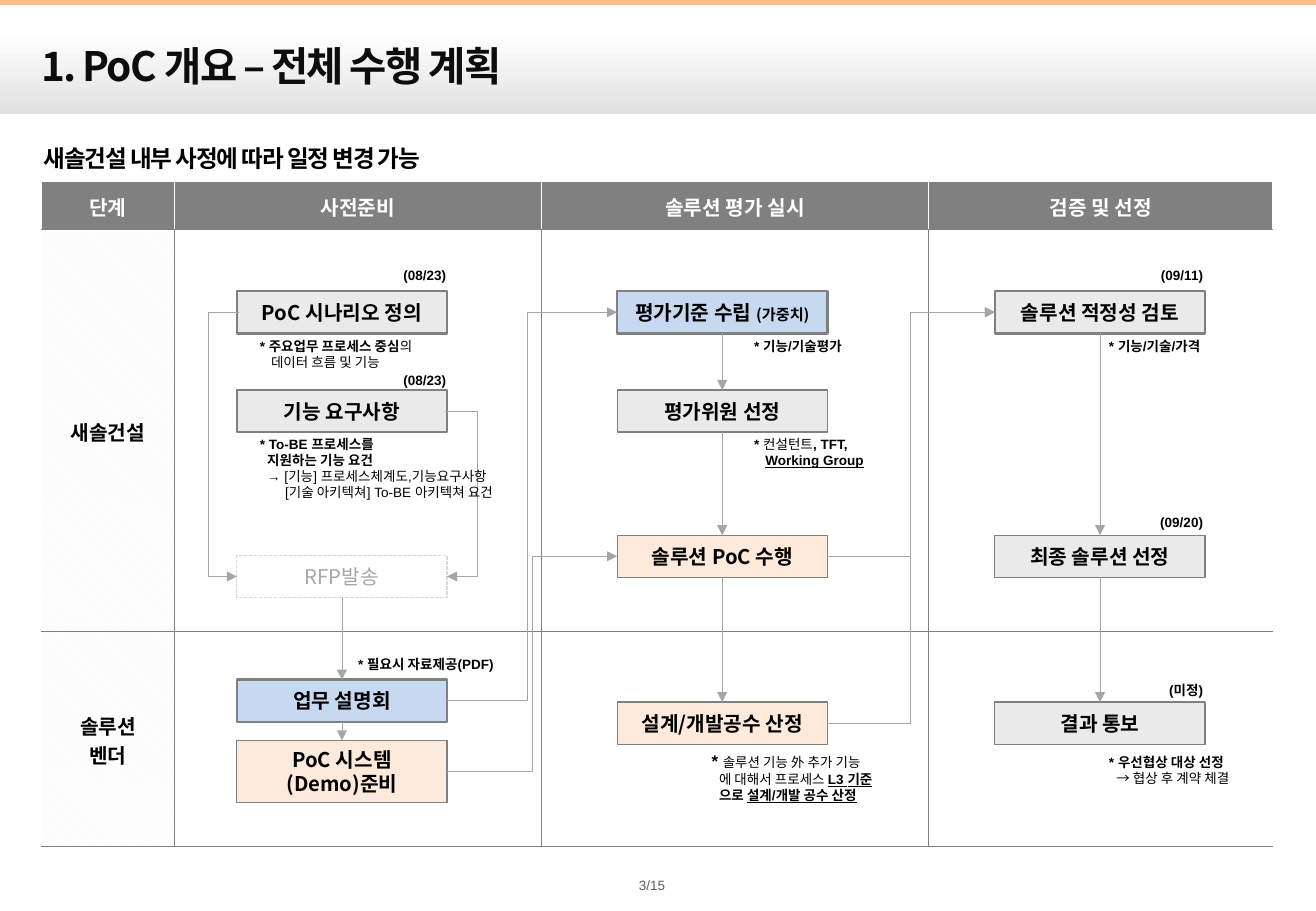
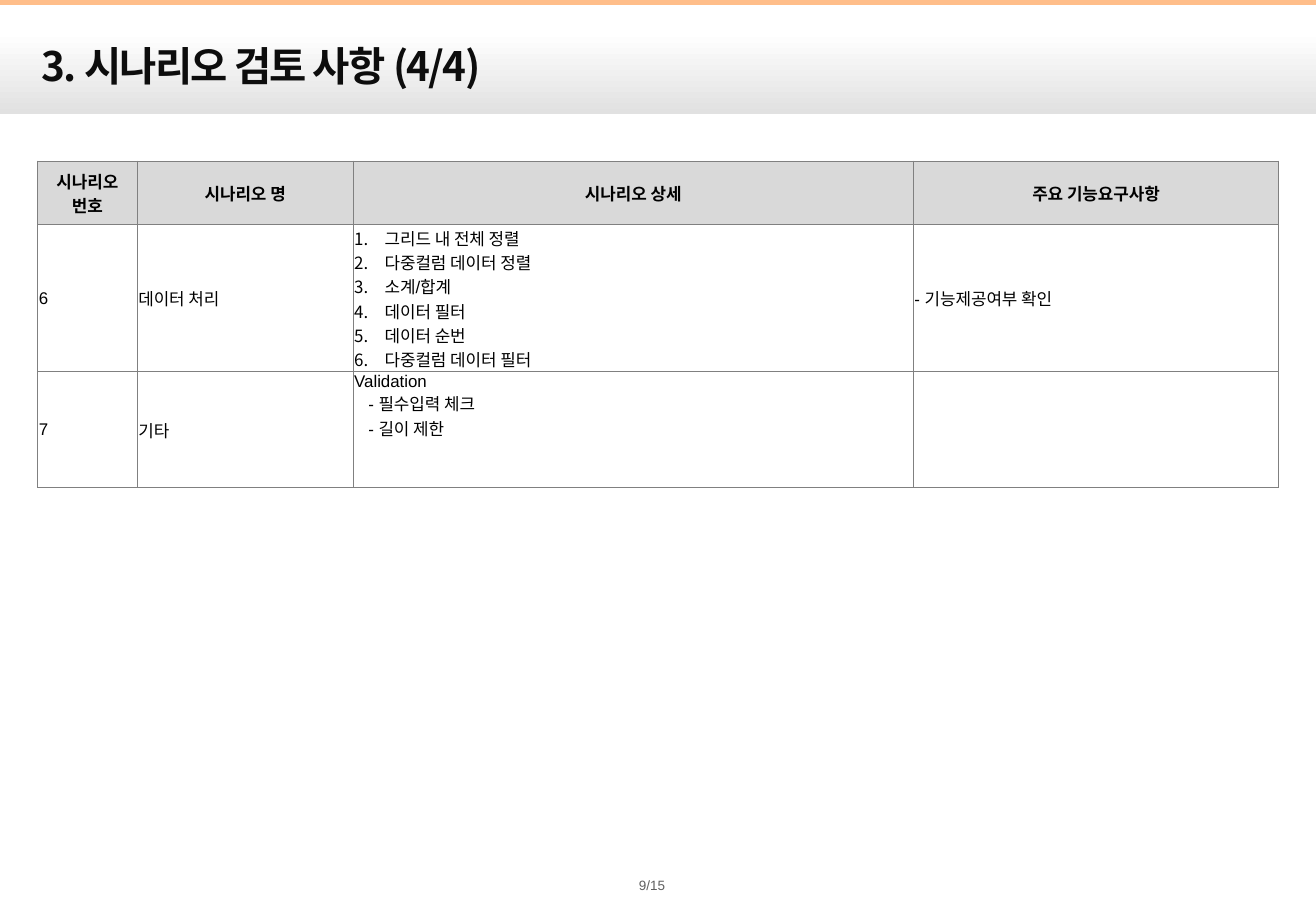
from lxml.etree import Element, SubElement
from pptx import Presentation
from pptx.dml.color import RGBColor
from pptx.enum.dml import MSO_LINE, MSO_PATTERN
from pptx.enum.shapes import MSO_CONNECTOR, MSO_SHAPE
from pptx.enum.text import MSO_ANCHOR, MSO_AUTO_SIZE, PP_ALIGN
from pptx.oxml.ns import qn
from pptx.util import Pt


class Theme:
    black = RGBColor(0x00, 0x00, 0x00)
    white = RGBColor(0xFF, 0xFF, 0xFF)
    title = RGBColor(0x0D, 0x0D, 0x0D)
    number = RGBColor(0x5F, 0x5F, 0x5F)
    accent = RGBColor(0xFF, 0xBE, 0x8A)
    band_end = RGBColor(0xE1, 0xE1, 0xE1)
    grey = RGBColor(0x80, 0x80, 0x80)
    arrow = RGBColor(0xA6, 0xA6, 0xA6)
    pale = RGBColor(0xD9, 0xD9, 0xD9)
    hatch = RGBColor(0xF2, 0xF2, 0xF2)
    box = RGBColor(0xEA, 0xEA, 0xEA)
    blue = RGBColor(0xC6, 0xD9, 0xF1)
    peach = RGBColor(0xFD, 0xEA, 0xDA)
    latin = "Arial"
    korean = "Noto Sans CJK KR"
    title_size, lead_size, box_size, cell_size, note_size = 24, 14, 12, 10, 8


def write(frame, lines, size, color=Theme.black, bold=True,
          font=Theme.latin, align=PP_ALIGN.LEFT, tracking=0):
    """A line is a string, or (indent, [(text, look, size?), ...]); look: b bold, u underline."""
    for index, line in enumerate(lines):
        para = frame.add_paragraph() if index else frame.paragraphs[0]
        para.alignment = align
        if isinstance(line, str):
            line = (0, [(line, "b" if bold else "")])
        indent, spans = line
        if indent:
            para._p.get_or_add_pPr().set("marL", str(Pt(indent)))
        for text, look, *own_size in spans:
            span = para.add_run()
            span.text = text
            span.font.size = Pt(own_size[0] if own_size else size)
            span.font.bold = "b" in look
            span.font.underline = "u" in look
            span.font.color.rgb = color
            span.font.name = font
            props = span._r.get_or_add_rPr()
            SubElement(props, qn("a:ea")).set("typeface", Theme.korean)
            if tracking:
                props.set("spc", str(round(tracking * 100)))


def link(page, start, end, sites, via=None):
    """Arrow between connection sites; via is the x of an elbow's upright part."""
    kind = MSO_CONNECTOR.ELBOW if via else MSO_CONNECTOR.STRAIGHT
    arrow = page.shapes.add_connector(kind, 0, 0, 0, 0)
    arrow.begin_connect(start, sites[0])
    arrow.end_connect(end, sites[1])
    arrow.line.color.rgb = Theme.arrow
    arrow.line.width = Pt(0.5)
    props = arrow.element.spPr
    SubElement(props.find(qn("a:ln")), qn("a:tailEnd")).set("type", "triangle")
    SubElement(props, qn("a:effectLst"))
    if via:
        if sites[0] == sites[1]:  # a loop needs some width for its bend to scale
            arrow.begin_x = arrow.end_x + Pt(1 if sites[0] == 1 else -1)
        bend = (Pt(via) - arrow.begin_x) / (arrow.end_x - arrow.begin_x)
        guides = props.find(qn("a:prstGeom")).find(qn("a:avLst"))
        guide = SubElement(guides, qn("a:gd"))
        guide.set("name", "adj1")
        guide.set("fmla", f"val {round(bend * 100000)}")


deck = Presentation()
deck.slide_width, deck.slide_height = Pt(780), Pt(540)
layout = deck.slide_layouts[5]
plan_page = deck.slides.add_slide(layout)
scenario_page = deck.slides.add_slide(layout)

# Shared band and top line, kept on the layout
band = plan_page.shapes.add_shape(MSO_SHAPE.RECTANGLE, 0, Pt(18.7), Pt(780), Pt(49))
band.shadow.inherit = False
band.line.fill.background()
band.fill.gradient()
band.fill.gradient_angle = 270
for stop, color in zip(band.fill.gradient_stops, (Theme.white, Theme.band_end)):
    stop.color.rgb = color
top_line = plan_page.shapes.add_connector(MSO_CONNECTOR.STRAIGHT, 0, Pt(1.4), Pt(780), Pt(1.4))
top_line.line.color.rgb = Theme.accent
top_line.line.width = Pt(3.75)
SubElement(top_line.element.spPr, qn("a:effectLst"))
for offset, shape in enumerate((band, top_line)):
    shape.element.xpath(".//p:cNvPr")[0].set("id", str(20 + offset))
    layout.shapes.element.insert(2 + offset, shape.element)

# Titles and page numbers
for page, title_text, number in (
    (plan_page, "1. PoC 개요 – 전체 수행 계획", "3/15"),
    (scenario_page, "3. 시나리오 검토 사항 (4/4)", "9/15"),
):
    title = page.shapes.title
    title.left, title.top, title.width, title.height = Pt(17.3), Pt(20.9), Pt(697), Pt(36)
    title.text_frame.auto_size = MSO_AUTO_SIZE.NONE
    title.text_frame.vertical_anchor = MSO_ANCHOR.MIDDLE
    write(title.text_frame, [title_text], Theme.title_size, Theme.title,
          font=Theme.korean, tracking=-1)
    footer = page.shapes.add_textbox(Pt(375), Pt(519.8), Pt(23), Pt(9.4)).text_frame
    footer.margin_left = footer.margin_right = footer.margin_top = footer.margin_bottom = 0
    footer.vertical_anchor = MSO_ANCHOR.MIDDLE
    footer.word_wrap = False
    write(footer, [number], Theme.note_size, Theme.number, bold=False, align=PP_ALIGN.CENTER)

# Plan page: lead sentence
lead = plan_page.shapes.add_textbox(Pt(25.9), Pt(83.5), Pt(729), Pt(24.5)).text_frame
lead.margin_left = lead.margin_right = lead.margin_top = lead.margin_bottom = 0
lead.word_wrap = True
write(lead, ["새솔건설 내부 사정에 따라 일정 변경 가능"], Theme.lead_size,
      font=Theme.korean, tracking=-0.7)
lead.paragraphs[0].line_spacing = 1.1

# Both tables: size, text and fill
plan_rows = [
    [["단계"], ["사전준비"], ["솔루션 평가 실시"], ["검증 및 선정"]],
    [["새솔건설"], [], [], []],
    [["솔루션", "벤더"], [], [], []],
]
sort_steps = ["그리드 내 전체 정렬", "다중컬럼 데이터 정렬", "소계/합계",
              "데이터 필터", "데이터 순번", "다중컬럼 데이터 필터"]
checks = ["Validation", (8.3, [("- 필수입력 체크", "")]), (8.3, [("- 길이 제한", "")])]
scenario_rows = [
    [["시나리오", "번호"], ["시나리오 명"], ["시나리오 상세"], ["주요 기능요구사항"]],
    [["6"], ["데이터 처리"], sort_steps, ["- 기능제공여부 확인"]],
    [["7"], ["기타"], checks, []],
]
tables = []
for page, rows, left, top, widths, heights in (
    (plan_page, plan_rows, 24.5, 108, (79, 217.4, 229.7, 203.8), (28.3, 238.3, 127.4)),
    (scenario_page, scenario_rows, 22.3, 95.5, (59, 128, 332, 216.7), (37.7, 87.1, 68.7)),
):
    table = page.shapes.add_table(len(rows), len(widths), Pt(left), Pt(top),
                                  Pt(sum(widths)), Pt(sum(heights))).table
    table.first_row = table.horz_banding = False
    for column, width in zip(table.columns, widths):
        column.width = Pt(width)
    is_plan = page is plan_page
    for r, row in enumerate(table.rows):
        row.height = Pt(heights[r])
        for c, cell in enumerate(row.cells):
            cell.margin_left = cell.margin_right = cell.margin_top = Pt(0.7)
            cell.margin_bottom = 0
            cell.vertical_anchor = MSO_ANCHOR.MIDDLE
            header = r == 0
            if header:
                cell.fill.solid()
                cell.fill.fore_color.rgb = Theme.grey if is_plan else Theme.pale
            elif is_plan and c == 0:
                cell.fill.patterned()
                cell.fill.pattern = MSO_PATTERN.LIGHT_DOWNWARD_DIAGONAL
                cell.fill.fore_color.rgb = Theme.hatch
                cell.fill.back_color.rgb = Theme.white
            else:
                cell.fill.background()
            write(cell.text_frame, rows[r][c],
                  Theme.box_size if is_plan else Theme.cell_size,
                  Theme.white if is_plan and header else Theme.black,
                  bold=is_plan or header,
                  font=Theme.korean if header and not is_plan else Theme.latin,
                  align=PP_ALIGN.CENTER if is_plan or header else PP_ALIGN.LEFT)
    tables.append(table)
plan_table, scenario_table = tables

# Numbered steps and the top-aligned checks
for para in scenario_table.cell(1, 2).text_frame.paragraphs:
    props = para._p.get_or_add_pPr()
    props.set("marL", str(Pt(18)))
    props.set("indent", str(Pt(-18)))
    SubElement(props, qn("a:buAutoNum")).set("type", "arabicPeriod")
scenario_table.cell(2, 2).vertical_anchor = MSO_ANCHOR.TOP

# Cell borders: the plan table is open left and right
for table, weight, framed in ((plan_table, 0.75, False), (scenario_table, 0.5, True)):
    last = len(table.columns) - 1
    for r, row in enumerate(table.rows):
        for c, cell in enumerate(row.cells):
            upright = Theme.grey if framed or r else Theme.white
            edges = [("a:lnL", upright, framed or c > 0), ("a:lnR", upright, framed or c < last),
                     ("a:lnT", Theme.grey, True), ("a:lnB", Theme.grey, True)]
            shown = [(tag, color) for tag, color, visible in edges if visible]
            for position, (tag, color) in enumerate(shown):
                edge = Element(qn(tag))
                edge.set("w", str(Pt(weight)))
                paint = SubElement(edge, qn("a:solidFill"))
                SubElement(paint, qn("a:srgbClr")).set("val", str(color))
                cell._tc.get_or_add_tcPr().insert(position, edge)

# Step boxes, by column and height on the page
prepare, assess, decide = 140.4, 365.8, 589.7
level_1, level_2, level_3, level_4 = 172.6, 231.2, 317.3, 416.2
criteria_text = (0, [("평가기준 수립 ", "b"), ("(가중치)", "b", 9)])
steps = {}
for key, left, top, height, fill, border, lines in (
    ("scenario", prepare, level_1, 25, Theme.box, 1.5, ["PoC 시나리오 정의"]),
    ("needs", prepare, level_2, 25, Theme.box, 1.5, ["기능 요구사항"]),
    ("rfp", prepare, 329.2, 25, Theme.white, 0.75, ["RFP발송"]),
    ("briefing", prepare, 402.9, 25, Theme.blue, 1.5, ["업무 설명회"]),
    ("demo", prepare, 438.9, 36.7, Theme.peach, 0.75, ["PoC 시스템", "(Demo)준비"]),
    ("criteria", assess, level_1, 25, Theme.blue, 1.5, [criteria_text]),
    ("judges", assess, level_2, 25, Theme.box, 0.75, ["평가위원 선정"]),
    ("poc", assess, level_3, 25, Theme.peach, 0.75, ["솔루션 PoC 수행"]),
    ("effort", assess, level_4, 25, Theme.peach, 0.75, ["설계/개발공수 산정"]),
    ("review", decide, level_1, 25, Theme.box, 1.5, ["솔루션 적정성 검토"]),
    ("final", decide, level_3, 25, Theme.box, 0.75, ["최종 솔루션 선정"]),
    ("notice", decide, level_4, 25, Theme.box, 0.75, ["결과 통보"]),
):
    box = plan_page.shapes.add_shape(MSO_SHAPE.RECTANGLE, Pt(left), Pt(top), Pt(124.6), Pt(height))
    box.shadow.inherit = False
    box.fill.solid()
    box.fill.fore_color.rgb = fill
    box.line.width = Pt(border)
    pending = key == "rfp"
    box.line.color.rgb = Theme.pale if pending else Theme.grey
    if pending:
        box.line.dash_style = MSO_LINE.SQUARE_DOT
    frame = box.text_frame
    frame.margin_left = frame.margin_right = Pt(1.4)
    frame.word_wrap = False
    frame.vertical_anchor = MSO_ANCHOR.MIDDLE
    write(frame, lines, Theme.box_size, Theme.arrow if pending else Theme.black,
          bold=not pending, font=Theme.korean, align=PP_ALIGN.CENTER)
    steps[key] = box

# Arrows between the steps
TOP, LEFT, BOTTOM, RIGHT = range(4)
for start, end in (("rfp", "briefing"), ("briefing", "demo"), ("criteria", "judges"),
                   ("judges", "poc"), ("poc", "effort"), ("review", "final"),
                   ("final", "notice")):
    link(plan_page, steps[start], steps[end], (BOTTOM, TOP))
for start, end, sites, via in (
    ("scenario", "rfp", (LEFT, LEFT), 123.4),
    ("needs", "rfp", (RIGHT, RIGHT), 283),
    ("briefing", "criteria", (RIGHT, LEFT), 312.5),
    ("demo", "poc", (RIGHT, LEFT), 315.4),
    ("poc", "review", (RIGHT, LEFT), 540),
    ("effort", "review", (RIGHT, LEFT), 540),
):
    link(plan_page, steps[start], steps[end], sites, via)

# Notes beside the steps, and dates above them
notes = [
    (146.9, 196.6, 162, 26.6, [(0, [("* 주요업무 프로세스 중심", "b"), ("의", "")]),
                               (6.7, [("데이터 흐름 및 기능", "")])]),
    (146.9, 254.9, 173, 46, ["* To-BE 프로세스를",
                             (4.4, [("지원하는 기능 요건", "b")]),
                             (4.4, [("→ [기능] 프로세스체계도,기능요구사항", "")]),
                             (15, [("[기술 아키텍쳐] To-BE 아키텍쳐 요건", "")])]),
    (205.2, 385.2, 106, 17, ["* 필요시 자료제공(PDF)"]),
    (439.9, 196.6, 106, 17, ["* 기능/기술평가"]),
    (439.9, 254.9, 128, 26.6, [(0, [("* ", "b"), ("컨설턴트", ""), (", TFT,", "b")]),
                               (6.7, [("Working Group", "bu")])]),
    (414.7, 441.4, 122, 39, [(0, [("* ", "b", 10), ("솔루션 기능 外 추가 기능", "")]),
                             (4.4, [("에 대해서 프로세스 ", ""), ("L3 기준", "bu")]),
                             (4.4, [("으로 ", "b"), ("설계/개발 공수 산정", "bu")])]),
    (650.2, 196.6, 106, 17, ["* 기능/기술/가격"]),
    (650.2, 443.5, 106, 26.6, ["* 우선협상 대상 선정", (4.4, [("→ 협상 후 계약 체결", "")])]),
]
dates = [(165.6, 154.8, "(08/23)"), (165.6, 216.7, "(08/23)"), (614.2, 154.8, "(09/11)"),
         (614.2, 301, "(09/20)"), (614.2, 401, "(미정)")]
labels = [(*note, PP_ALIGN.LEFT) for note in notes]
labels += [(left, top, 106, 17, [text], PP_ALIGN.RIGHT) for left, top, text in dates]
for left, top, width, height, lines, align in labels:
    label = plan_page.shapes.add_textbox(Pt(left), Pt(top), Pt(width), Pt(height)).text_frame
    label.word_wrap = True
    write(label, lines, Theme.note_size, bold=True, align=align)

deck.save("out.pptx")
